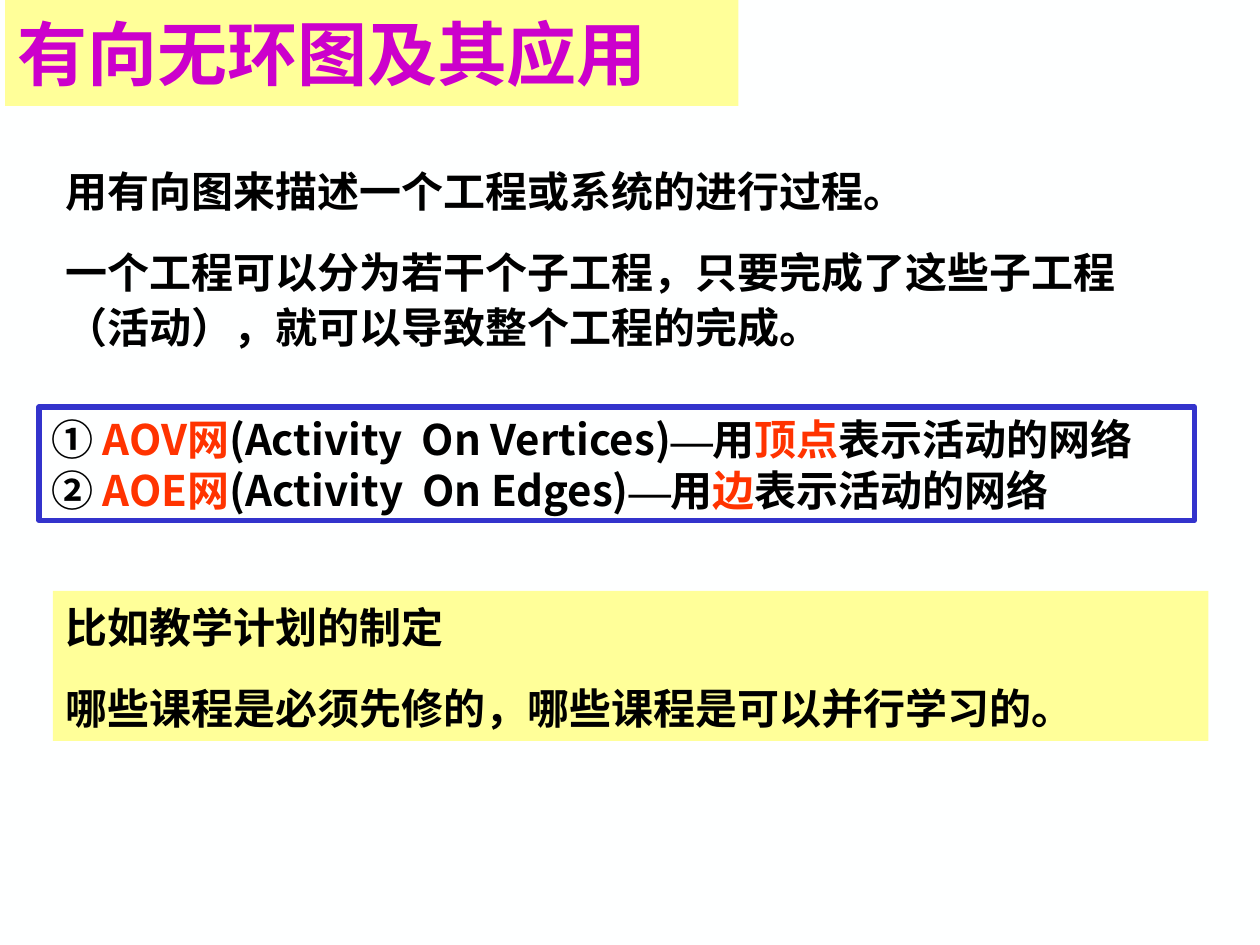
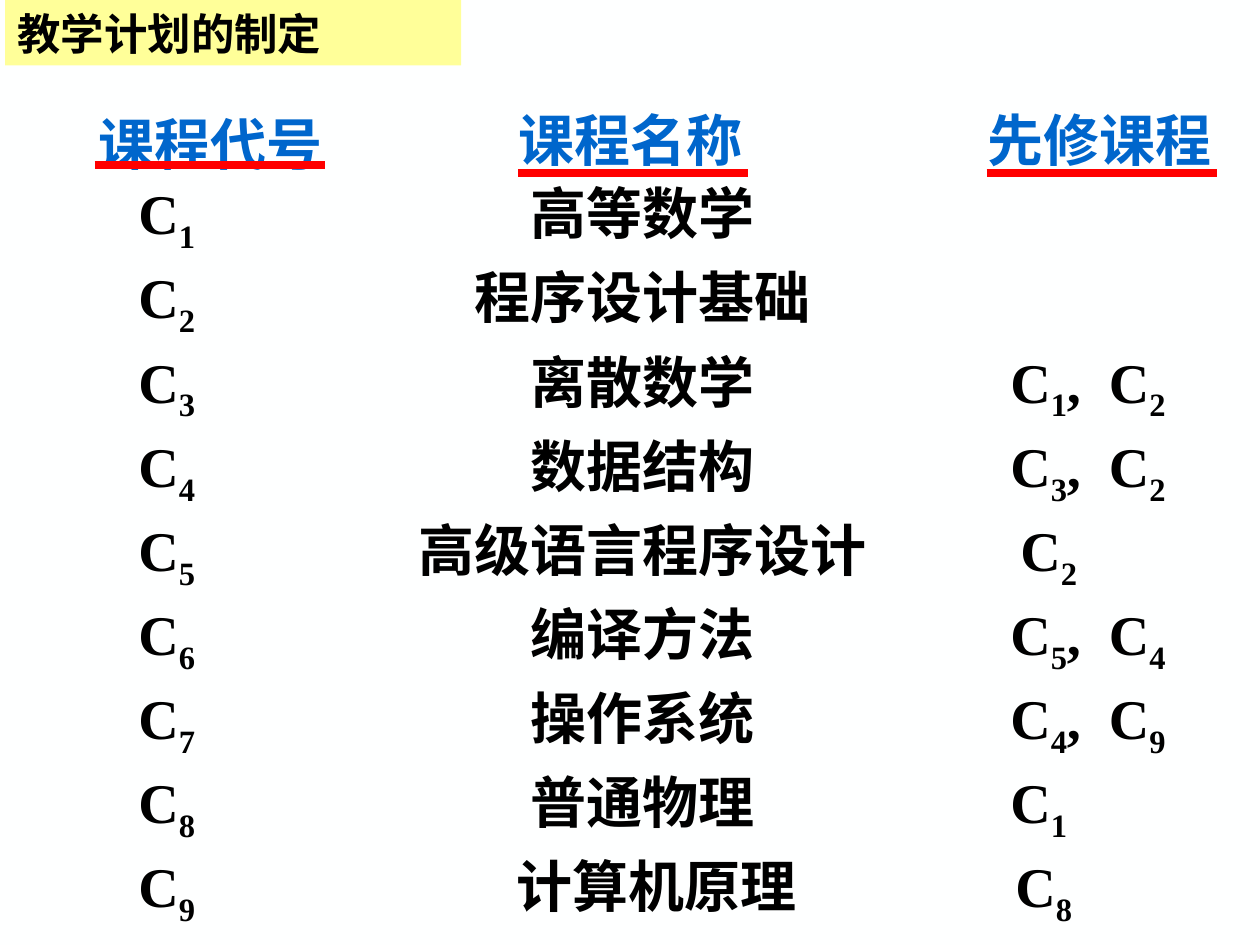
import itertools
from dataclasses import dataclass

import pptx
import pptx.util
import pptx.dml.color
import pptx.enum.shapes
import pptx.enum.text
import pptx.oxml.ns
from lxml import etree

# ---- Content ----
TITLE_1 = "有向无环图及其应用"
PROCESS = ["用有向图来描述一个工程或系统的进行过程。",
           "一个工程可以分为若干个子工程，只要完成了这些子工程（活动），就可以导致整个工程的完成。"]
# number, network, English name, what stands for an activity
NETWORKS = [("① ", "AOV网", "(Activity  On Vertices)", "顶点"),
            ("② ", "AOE网", "(Activity  On Edges)", "边")]
EXAMPLE = ["比如教学计划的制定",
           "哪些课程是必须先修的，哪些课程是可以并行学习的。"]

TITLE_2 = "教学计划的制定"
# heading, left, top, width, start and height of its underline
HEADINGS = [("课程代号", 0.67, 0.81, 2.0, 0.75, 1.31),
            ("课程名称", 4.06, 0.78, 1.89, 4.11, 1.37),
            ("先修课程", 7.78, 0.78, 1.89, 7.83, 1.37)]
UNDERLINE = 1.83
# code, course, courses taken before, shift of the last two columns
COURSES = [("C1", "高等数学", "", 0, 0),
           ("C2", "程序设计基础", "", 0, 0),
           ("C3", "离散数学", "C1,  C2", 0, 0),
           ("C4", "数据结构", "C3,  C2", 0, 0),
           ("C5", "高级语言程序设计", "C2", 0, 0.08),
           ("C6", "编译方法", "C5,  C4", 0, 0),
           ("C7", "操作系统", "C4,  C9", 0, 0),
           ("C8", "普通物理", "C1", 0, 0),
           ("C9", "计算机原理", "C8", 0.11, 0.04)]
CODE_TAB, NAME_TAB, BEFORE_TAB = 0.44, 4.44, 7.36


@dataclass(frozen=True)
class Theme:
    width: float = 10
    height: float = 7.5
    paper: str = "FEFFFF"
    band: str = "FFFF99"
    ink: str = "000000"
    title: str = "CC00CC"
    accent: str = "FF3300"
    frame: str = "3333CC"
    heading: str = "0066CC"
    rule: str = "FF0000"
    sans: str = "Noto Sans CJK SC"
    serif: str = "Times New Roman"
    title_size: float = 40
    subtitle_size: float = 24.8
    body_size: float = 24
    course_size: float = 32


THEME = Theme()
inch = pptx.util.Inches
points = pptx.util.Pt


def colour(value):
    return pptx.dml.color.RGBColor.from_string(value)


def add_page(deck):
    page = deck.slides.add_slide(deck.slide_layouts[6])
    page.background.fill.solid()
    page.background.fill.fore_color.rgb = colour(THEME.paper)
    return page


def add_box(page, left, top, width, height, fill=None, line=None):
    """A rectangle if it has a fill or line, otherwise a text box."""
    place = [inch(value) for value in (left, top, width, height)]
    if fill or line:
        box = page.shapes.add_shape(pptx.enum.shapes.MSO_SHAPE.RECTANGLE, *place)
        box.shadow.inherit = False
        if fill:
            box.fill.solid()
            box.fill.fore_color.rgb = colour(fill)
        else:
            box.fill.background()
        if line:
            box.line.color.rgb = colour(line)
            box.line.width = points(3)
        else:
            box.line.fill.background()
    else:
        box = page.shapes.add_textbox(*place)
    frame = box.text_frame
    frame.word_wrap = True
    frame.vertical_anchor = pptx.enum.text.MSO_ANCHOR.TOP
    return frame


def set_font(font, size=None, face=None, ink=None):
    if size:
        font.size = points(size)
        font.bold = True
    if ink:
        font.color.rgb = colour(ink)
    if face:
        font.name = face


def set_asian_face(properties, face):
    etree.SubElement(properties, pptx.oxml.ns.qn("a:ea")).set("typeface", face)


def add_para(frame, size, face=THEME.serif, ink=THEME.ink, pitch=None, before=0, tabs=()):
    """Start a paragraph, using the empty first one when it is free."""
    first = not frame.paragraphs[0].runs
    para = frame.paragraphs[0] if first else frame.add_paragraph()
    para.alignment = pptx.enum.text.PP_ALIGN.LEFT
    if pitch:
        para.line_spacing = points(pitch)
    if before and not first:
        para.space_before = points(before)
    if tabs:
        stops = etree.SubElement(para._p.get_or_add_pPr(), pptx.oxml.ns.qn("a:tabLst"))
        for position, align in tabs:
            stop = etree.SubElement(stops, pptx.oxml.ns.qn("a:tab"))
            stop.set("pos", str(inch(position)))
            stop.set("algn", align)
    set_font(para.font, size, face, ink)
    set_asian_face(para.font._element, THEME.sans)
    return para


def add_span(para, text, ink=None, face=None, subscript=False):
    span = para.add_run()
    span.text = text
    set_font(span.font, face=face, ink=ink)
    if face:
        set_asian_face(span.font._element, face)
    if subscript:
        span.font._element.set("baseline", "-25000")


def add_title(page, text, width, height, **style):
    frame = add_box(page, 0.04, 0, width, height, fill=THEME.band)
    frame.vertical_anchor = pptx.enum.text.MSO_ANCHOR.MIDDLE
    add_span(add_para(frame, **style), text)


def add_body(frame, lines):
    for line in lines:
        add_span(add_para(frame, THEME.body_size, pitch=31.4, before=15), line)


def add_underline(page, left, top):
    line = page.shapes.add_connector(pptx.enum.shapes.MSO_CONNECTOR.STRAIGHT,
                                     inch(left), inch(top), inch(left + UNDERLINE), inch(top))
    line.line.color.rgb = colour(THEME.rule)
    line.line.width = points(4.5)
    etree.SubElement(line._element.spPr, pptx.oxml.ns.qn("a:effectLst"))


def build_overview(deck):
    page = add_page(deck)
    add_body(add_box(page, 0.42, 1.23, 8.83, 1.63), PROCESS)

    # The two kinds of network
    frame = add_box(page, 0.31, 3.23, 9.17, 0.9, line=THEME.frame)
    for number, network, english, element in NETWORKS:
        para = add_para(frame, THEME.body_size, THEME.sans, pitch=29)
        add_span(para, number)
        add_span(para, network, THEME.accent)
        add_span(para, english)
        add_span(para, "—", face=THEME.serif)
        add_span(para, "用")
        add_span(para, element, THEME.accent)
        add_span(para, "表示活动的网络")

    add_body(add_box(page, 0.42, 4.69, 9.17, 1.19, fill=THEME.band), EXAMPLE)
    add_title(page, TITLE_1, 5.82, 0.84, size=THEME.title_size,
              face=THEME.sans, ink=THEME.title)


def build_courses(deck):
    page = add_page(deck)

    # Course rows: digits are subscripts, tab stops make the columns
    frame = add_box(page, 0.56, 1.31, 9.02, 6.11)
    for code, name, before, name_shift, before_shift in COURSES:
        tabs = [(CODE_TAB, "l"), (NAME_TAB + name_shift, "ctr"),
                (BEFORE_TAB + before_shift, "l")]
        para = add_para(frame, THEME.course_size, pitch=48.06, tabs=tabs)
        row = f"\t{code}\t{name}" + (f"\t{before}" if before else "")
        for is_digit, letters in itertools.groupby(row, str.isdigit):
            add_span(para, "".join(letters), subscript=is_digit)

    # Column headings, without side margins so that each stays on one line
    for text, left, top, width, line_left, line_top in HEADINGS:
        frame = add_box(page, left, top, width, 0.7)
        frame.margin_left = frame.margin_right = 0
        frame.margin_top = inch(0.01)
        para = add_para(frame, THEME.course_size, THEME.sans, THEME.heading, pitch=42)
        para.alignment = pptx.enum.text.PP_ALIGN.CENTER
        add_span(para, text)
        add_underline(page, line_left, line_top)

    add_title(page, TITLE_2, 3.62, 0.52, size=THEME.subtitle_size)


def main():
    deck = pptx.Presentation()
    deck.slide_width = inch(THEME.width)
    deck.slide_height = inch(THEME.height)
    build_overview(deck)
    build_courses(deck)
    deck.save("out.pptx")


if __name__ == "__main__":
    main()
